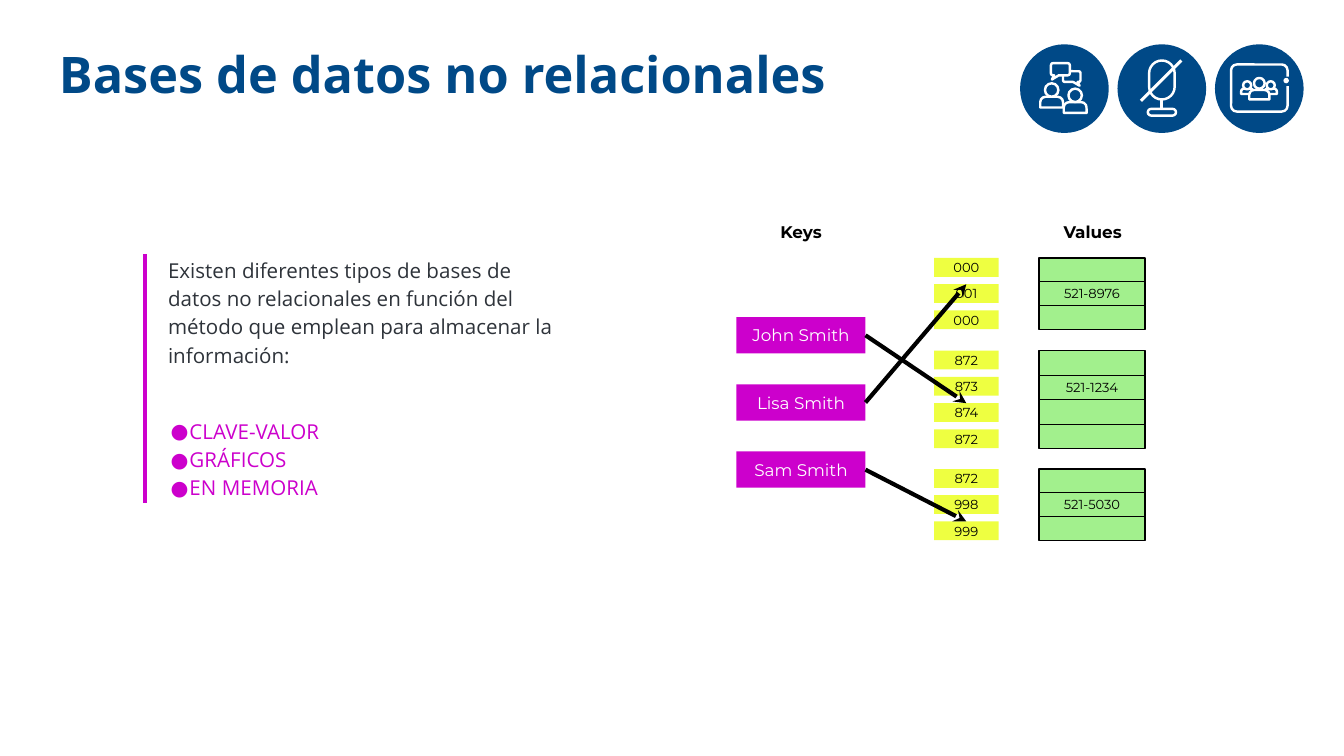
from lxml import etree
from pptx import Presentation
from pptx.dml.color import RGBColor
from pptx.enum.shapes import MSO_CONNECTOR, MSO_SHAPE
from pptx.enum.text import MSO_ANCHOR, PP_ALIGN
from pptx.oxml.ns import qn
from pptx.util import Inches, Pt

RECT, OVAL = MSO_SHAPE.RECTANGLE, MSO_SHAPE.OVAL
ROUNDED, DOME = MSO_SHAPE.ROUNDED_RECTANGLE, MSO_SHAPE.ROUND_2_SAME_RECTANGLE
BUBBLE = MSO_SHAPE.ROUNDED_RECTANGULAR_CALLOUT
STRAIGHT = MSO_CONNECTOR.STRAIGHT
TOP, MIDDLE = MSO_ANCHOR.TOP, MSO_ANCHOR.MIDDLE
LEFT, CENTER = PP_ALIGN.LEFT, PP_ALIGN.CENTER

BLUE = RGBColor(0x00, 0x49, 0x87)
MAGENTA = RGBColor(0xCC, 0x00, 0xCC)
YELLOW = RGBColor(0xEE, 0xFF, 0x41)
GREEN = RGBColor(0xA2, 0xF0, 0x8D)
GREY = RGBColor(0x2E, 0x33, 0x3A)
BLACK = RGBColor(0, 0, 0)
WHITE = RGBColor(0xFF, 0xFF, 0xFF)
BODY_FONT, DIAGRAM_FONT = "Open Sans", "Montserrat"

TITLE = "Bases de datos no relacionales"
INTRO = ("Existen diferentes tipos de bases de datos no relacionales en función "
         "del método que emplean para almacenar la información:")
TYPES = ["CLAVE-VALOR", "GRÁFICOS", "EN MEMORIA"]
HEADINGS = [("Keys", 5.64), ("Values", 7.81)]

# Key name and the (group, row) of the index cell it points to
KEYS = [("John Smith", (1, 2)), ("Lisa Smith", (0, 1)), ("Sam Smith", (2, 2))]
# Top, height, index codes, value held in the second row
GROUPS = [
    (1.92, 0.53, ["000", "001", "000"], "521-8976"),
    (2.61, 0.73, ["872", "873", "874", "872"], "521-1234"),
    (3.49, 0.53, ["872", "998", "999"], "521-5030"),
]
KEY_X, KEY_Y, KEY_W, KEY_H, KEY_PITCH = 5.48, 2.36, 0.96, 0.27, 0.5
INDEX_X, INDEX_W, INDEX_H, INDEX_PITCH = 6.95, 0.48, 0.14, 0.195
VALUE_X, VALUE_W = 7.73, 0.79

BADGE_X, BADGE_Y, BADGE_SIZE, BADGE_PITCH = 7.59, 0.33, 0.66, 0.725
STROKE = 1.3
# Centre x, head top, head size, body top, body width, body height
TALKERS = [(7.825, 0.62, 0.10, 0.72, 0.17, 0.08), (8.0, 0.66, 0.10, 0.76, 0.17, 0.08)]
AUDIENCE = [(9.28, 0.605, 0.06, 0.66, 0.09, 0.04), (9.455, 0.605, 0.06, 0.66, 0.09, 0.04),
            (9.37, 0.58, 0.08, 0.67, 0.15, 0.07)]

prs = Presentation()
prs.slide_width = Inches(10)
prs.slide_height = prs.slide_width * 9 // 16
slide = prs.slides.add_slide(prs.slide_layouts[6])


def write(shape, text, size, color, font=DIAGRAM_FONT, bold=False, align=CENTER,
          anchor=MIDDLE, inset=0.07):
    frame = shape.text_frame
    frame.word_wrap = True
    frame.vertical_anchor = anchor
    frame.margin_left = frame.margin_right = Inches(inset)
    frame.margin_top = frame.margin_bottom = Inches(inset)
    for index, line in enumerate([text] if isinstance(text, str) else text):
        paragraph = frame.add_paragraph() if index else frame.paragraphs[0]
        paragraph.alignment = align
        run = paragraph.add_run()
        run.text = line
        run.font.name, run.font.size, run.font.bold = font, Pt(size), bold
        run.font.color.rgb = color
    return frame


def add_box(kind, x, y, w, h, fill, line=None, width=0.75, adjust=()):
    shape = slide.shapes.add_shape(kind, Inches(x), Inches(y), Inches(w), Inches(h))
    shape.shadow.inherit = False
    shape.fill.solid()
    shape.fill.fore_color.rgb = fill
    if line is None:
        shape.line.fill.background()
    else:
        shape.line.color.rgb, shape.line.width = line, Pt(width)
    for index, value in enumerate(adjust):
        shape.adjustments[index] = value
    return shape


def add_textbox(x, y, w, h):
    return slide.shapes.add_textbox(Inches(x), Inches(y), Inches(w), Inches(h))


def add_line(x1, y1, x2, y2, color, width=2.25):
    line = slide.shapes.add_connector(STRAIGHT, Inches(x1), Inches(y1), Inches(x2), Inches(y2))
    line.line.color.rgb, line.line.width = color, Pt(width)
    etree.SubElement(line._element.spPr, qn("a:effectLst"))
    return line


def add_outline(kind, x, y, w, h, adjust=()):
    return add_box(kind, x, y, w, h, BLUE, WHITE, STROKE, adjust)


def add_person(center, head_top, head, body_top, body_w, body_h):
    add_outline(DOME, center - body_w / 2, body_top, body_w, body_h, (0.5, 0))
    add_outline(OVAL, center - head / 2, head_top, head, head)


def add_badges():
    for column in range(3):
        add_box(OVAL, BADGE_X + column * BADGE_PITCH, BADGE_Y, BADGE_SIZE, BADGE_SIZE, BLUE)
    # Conversation
    add_outline(BUBBLE, 7.91, 0.53, 0.13, 0.08, (0.45, 0.85, 0.17))
    add_outline(BUBBLE, 7.82, 0.47, 0.14, 0.09, (-0.45, 0.85, 0.17))
    for person in TALKERS:
        add_person(*person)
    # Muted microphone
    add_outline(ROUNDED, 8.55, 0.45, 0.19, 0.29, (0.5,))
    add_line(8.64, 0.74, 8.64, 0.81, WHITE, 1.6)
    add_outline(ROUNDED, 8.54, 0.81, 0.21, 0.05, (0.5,))
    add_line(8.49, 0.75, 8.79, 0.45, WHITE, 1.6)
    # Shared screen, its frame open beside the camera dot
    add_outline(ROUNDED, 9.16, 0.48, 0.42, 0.35, (0.12,))
    add_box(RECT, 9.55, 0.57, 0.06, 0.07, BLUE)
    add_box(OVAL, 9.55, 0.58, 0.04, 0.04, WHITE)
    for person in AUDIENCE:
        add_person(*person)


def add_explanation():
    frame = write(add_textbox(1.18, 1.82, 3.11, 1.97), [INTRO, *TYPES], 11, MAGENTA,
                  font=BODY_FONT, align=LEFT, anchor=TOP)
    intro, *types = frame.paragraphs
    intro.runs[0].font.color.rgb = GREY
    for paragraph in types:
        properties = paragraph._p.get_or_add_pPr()
        properties.set("marL", str(Inches(0.16)))
        properties.set("indent", str(-Inches(0.14)))
        bullet_color = etree.SubElement(properties, qn("a:buClr"))
        etree.SubElement(bullet_color, qn("a:srgbClr"), val=str(MAGENTA))
        etree.SubElement(properties, qn("a:buFont"), typeface=BODY_FONT)
        etree.SubElement(properties, qn("a:buChar"), char="●")
    for paragraph in frame.paragraphs:
        paragraph.line_spacing = 1.15
    types[0].space_before = Pt(25.5)
    add_line(1.08, 1.89, 1.08, 3.74, MAGENTA)


def add_key_value_diagram():
    keys, cells = [], {}
    for row, (name, _) in enumerate(KEYS):
        key = add_box(RECT, KEY_X, KEY_Y + row * KEY_PITCH, KEY_W, KEY_H, MAGENTA)
        write(key, name, 9, WHITE)
        keys.append(key)
    for group, (top, height, codes, value) in enumerate(GROUPS):
        row_height = height / len(codes)
        for row, code in enumerate(codes):
            cell = add_box(RECT, INDEX_X, top + row * INDEX_PITCH, INDEX_W, INDEX_H, YELLOW)
            write(cell, code, 7, BLACK)
            cells[group, row] = cell
            slot = add_box(RECT, VALUE_X, top + row * row_height, VALUE_W, row_height,
                           GREEN, BLACK)
            if row == 1:
                write(slot, value, 7, BLACK)
    for key, (_, target) in zip(keys, KEYS):
        arrow = add_line(0, 0, 1, 1, BLACK)
        arrow.begin_connect(key, 3)
        arrow.end_connect(cells[target], 0)
        etree.SubElement(arrow.line._get_or_add_ln(), qn("a:tailEnd"), type="stealth")
    for heading, x in HEADINGS:
        write(add_textbox(x, 1.58, 0.64, 0.3), heading, 9, BLACK, bold=True, anchor=TOP)


add_badges()
add_explanation()
add_key_value_diagram()
write(add_textbox(0.34, 0.22, 7.22, 0.63), TITLE, 27, BLUE, font=BODY_FONT, bold=True,
      align=LEFT, anchor=TOP, inset=0.1)
prs.save("out.pptx")
